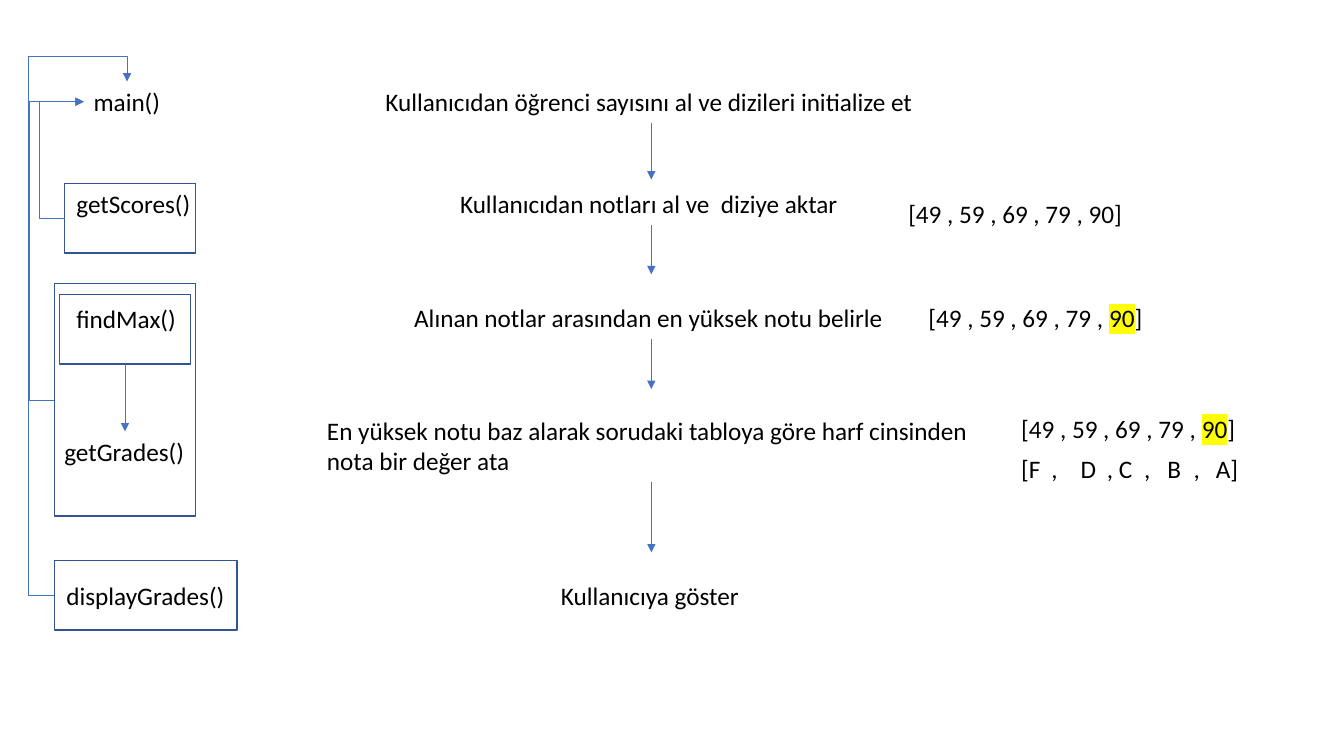
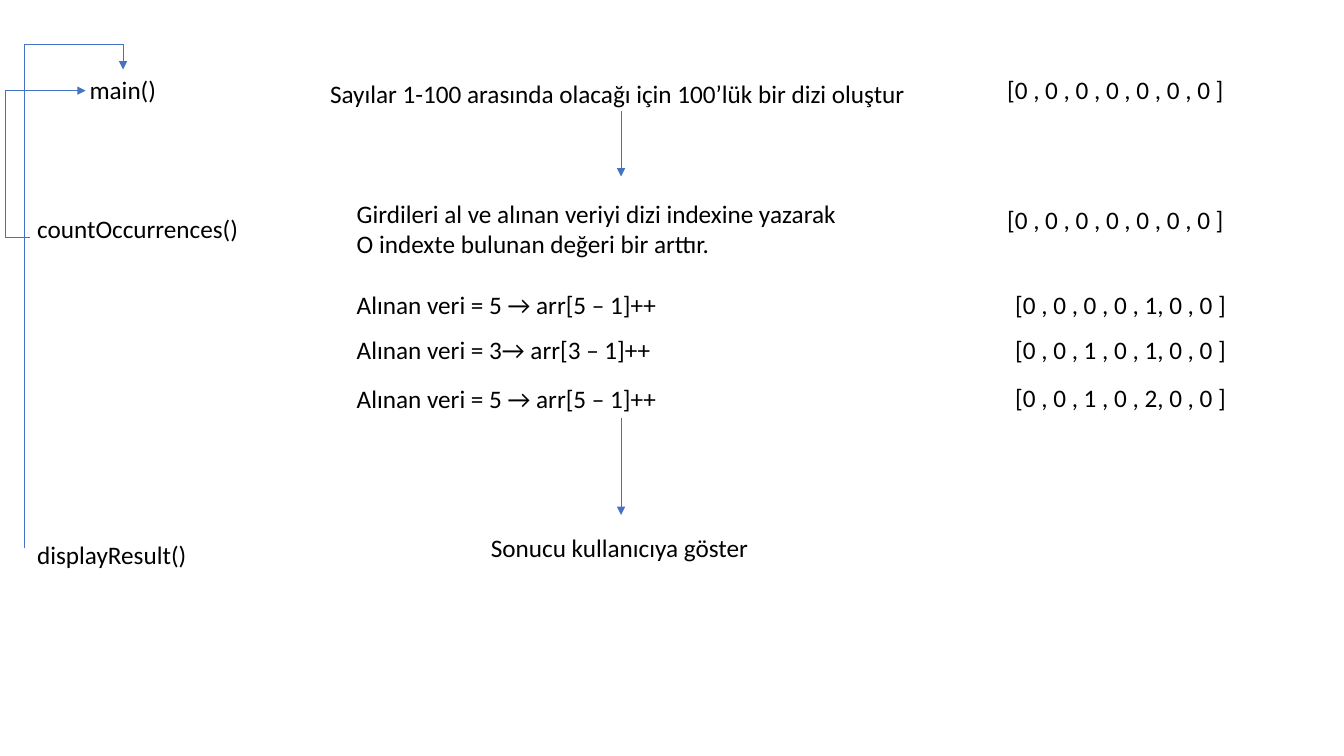
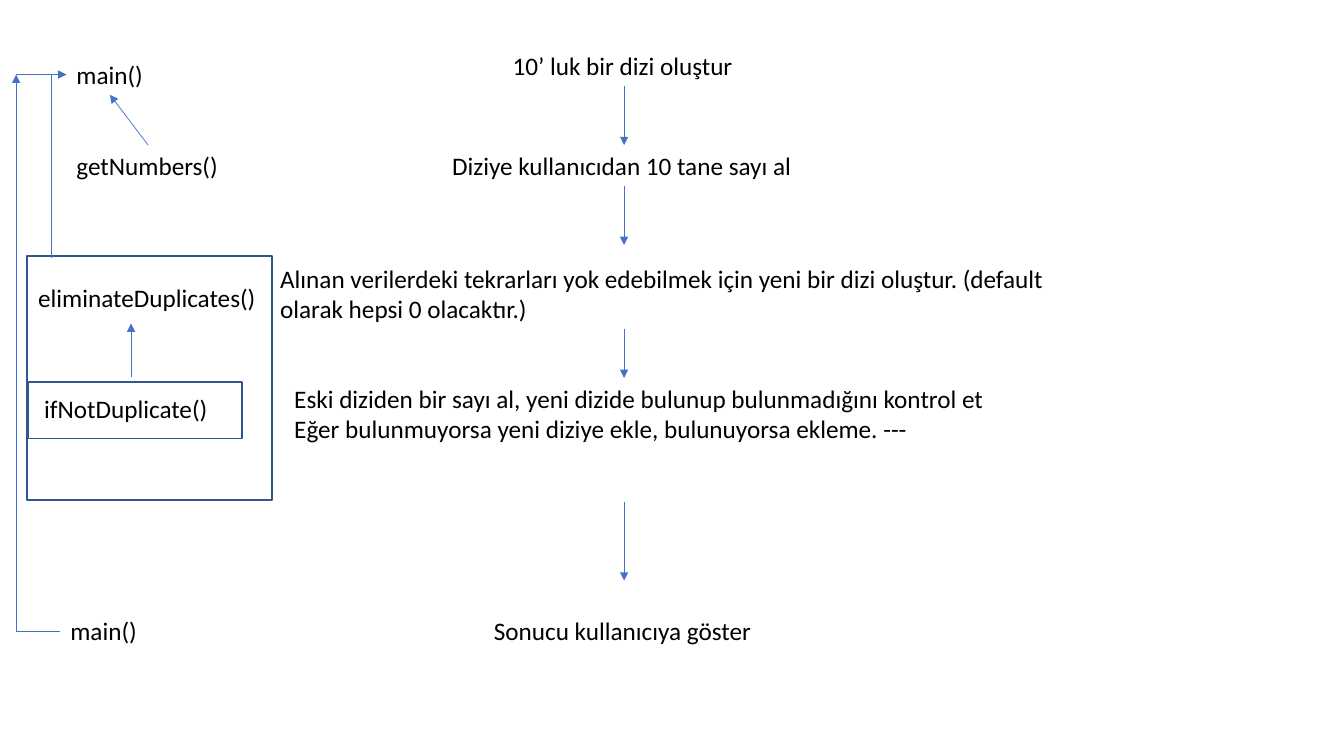
"""Build three flow diagrams that explain array exercises method by method."""
from lxml import etree
from pptx import Presentation
from pptx.dml.color import RGBColor
from pptx.enum.shapes import MSO_CONNECTOR, MSO_SHAPE
from pptx.enum.text import MSO_AUTO_SIZE
from pptx.oxml.ns import qn
from pptx.util import Inches, Pt

STRAIGHT, ELBOW = MSO_CONNECTOR.STRAIGHT, MSO_CONNECTOR.ELBOW
RECTANGLE = MSO_SHAPE.RECTANGLE
GROW = MSO_AUTO_SIZE.SHAPE_TO_FIT_TEXT

ARROW_BLUE, FRAME_BLUE, BLACK, YELLOW = "4472C4", "325491", "000000", "FFFF00"
TEXT_FORMAT = {"name": "Calibri", "size": Pt(18)}
ARROW_WIDTH, FRAME_WIDTH = 0.5, 1
INSET, LINE_HEIGHT = 0.05, 0.3

SCORES = "[49 , 59 , 69 , 79 , "
ZEROS = "[0 , 0 , 0 , 0 , 0 , 0 , 0 ]"
SHOW_RESULT = "Sonucu kullanıcıya göster"
GRADE_TABS = (0.3, 0.59, 0.85, 1.22, 1.45, 1.71, 1.93)

# steps: top, width, text; labels and notes: left, top, width, text
SLIDES = [
    {
        "axis": 6.46,
        "steps": [
            (0.81, 5.47, "Kullanıcıdan öğrenci sayısını al ve dizileri initialize et"),
            (1.82, 3.99, "Kullanıcıdan notları al ve  diziye aktar"),
            (2.95, 4.9, "Alınan notlar arasından en yüksek notu belirle"),
            (4.07, 6.63, "En yüksek notu baz alarak sorudaki tabloya göre harf cinsinden\n"
                         "nota bir değer ata"),
            (5.71, 1.99, "Kullanıcıya göster"),
        ],
        "down_arrows": [(1.22, 1.78), (2.23, 2.72), (3.36, 3.86), (4.78, 5.48)],
        "labels": [
            (0.83, 0.81, 0.87, "main()"),
            (0.66, 1.82, 1.34, "getScores()"),
            (0.66, 2.96, 1.2, "findMax()"),
            (0.54, 4.28, 1.4, "getGrades()"),
            (0.56, 5.71, 1.79, "displayGrades()"),
        ],
        "notes": [
            (8.91, 1.92, 3.49, SCORES + "90]"),
            (9.11, 2.95, 3.49, (SCORES, "90", "]")),
            (10.03, 4.05, 3.49, (SCORES, "90", "]")),
            (10.03, 4.45, 3.49, "[F\t,\tD\t, C\t,\tB\t,\tA]"),
        ],
        "frames": [(0.54, 2.81, 1.4, 2.31), (0.59, 2.92, 1.3, 0.69),
                   (0.64, 1.82, 1.3, 0.69), (0.54, 5.56, 1.81, 0.69)],
        "arrows": [((1.24, 3.61), (1.24, 4.28))],
        "elbows": [
            ((0.54, 3.97), (0.83, 1.01), 0.29, None),
            ((0.64, 2.17), (0.83, 1.01), 0.39, None),
            ((0.54, 5.91), (1.26, 0.81), 0.28, 0.56),
        ],
    },
    {
        "axis": 6.16,
        "steps": [
            (0.73, 5.97, "Sayılar 1-100 arasında olacağı için 100’lük bir dizi oluştur"),
            (5.23, 2.78, SHOW_RESULT),
        ],
        "down_arrows": [(1.1, 1.75), (4.15, 5.11)],
        "labels": [
            (3.44, 1.92, 5.07, "Girdileri al ve alınan veriyi dizi indexine yazarak\n"
                               "O indexte bulunan değeri bir arttır."),
            (9.89, 0.69, 2.38, ZEROS),
            (9.89, 1.98, 2.38, ZEROS),
            (9.97, 2.82, 2.38, "[0 , 0 , 0 , 0 , 1, 0 , 0 ]"),
            (9.97, 3.27, 2.38, "[0 , 0 , 1 , 0 , 1, 0 , 0 ]"),
            (9.97, 3.74, 2.38, "[0 , 0 , 1 , 0 , 2, 0 , 0 ]"),
            (0.79, 0.69, 0.87, "main()"),
            (0.27, 2.07, 2.22, "countOccurrences()"),
            (0.27, 5.3, 1.7, "displayResult()"),
        ],
        "notes": [
            (3.44, 2.82, 5.44, "Alınan veri = 5 → arr[5 – 1]++"),
            (3.44, 3.27, 5.44, "Alınan veri = 3→ arr[3 – 1]++"),
            (3.44, 3.75, 5.44, "Alınan veri = 5 → arr[5 – 1]++"),
        ],
        "elbows": [
            ((0.3, 2.36), (0.85, 0.9), 0.05, None),
            ((0.24, 5.44), (1.22, 0.69), 0.24, 0.44),
        ],
    },
    {
        "axis": 6.19,
        "steps": [
            (0.45, 2.41, "10’ luk bir dizi oluştur"),
            (1.44, 3.61, "Diziye kullanıcıdan 10 tane sayı al"),
            (6.06, 2.78, SHOW_RESULT),
        ],
        "down_arrows": [(0.85, 1.44), (1.85, 2.43), (3.26, 3.75), (4.98, 5.76)],
        "labels": [
            (2.68, 2.56, 7.88, "Alınan verilerdeki tekrarları yok edebilmek için yeni bir dizi "
                               "oluştur. (default\nolarak hepsi 0 olacaktır.)"),
            (2.82, 3.75, 7.13, "Eski diziden bir sayı al, yeni dizide bulunup bulunmadığını "
                               "kontrol et\nEğer bulunmuyorsa yeni diziye ekle, "
                               "bulunuyorsa ekleme. ---"),
            (0.66, 0.54, 0.87, "main()"),
            (0.66, 1.44, 1.62, "getNumbers()"),
            (0.28, 2.75, 2.38, "eliminateDuplicates()"),
            (0.34, 3.85, 1.84, "ifNotDuplicate()"),
            (0.6, 6.06, 0.87, "main()"),
        ],
        "frames": [(0.27, 2.54, 2.43, 2.42), (0.28, 3.79, 2.12, 0.56)],
        "arrows": [((1.3, 3.74), (1.3, 3.21)), ((1.47, 1.44), (1.09, 0.94)),
                   ((0.16, 6.26), (0.16, 0.74)), ((0.16, 0.74), (0.66, 0.74))],
        "lines": [((0.6, 6.26), (0.16, 6.26)), ((0.51, 2.56), (0.51, 0.74))],
    },
]


def color(value):
    return RGBColor.from_string(value)


def add_run(paragraph, text, highlighted=False):
    run = paragraph.add_run()
    run.text = text
    for name, value in TEXT_FORMAT.items():
        setattr(run.font, name, value)
    run.font.color.rgb = color(BLACK)
    if highlighted:
        highlight = etree.Element(qn("a:highlight"))
        etree.SubElement(highlight, qn("a:srgbClr"), val=YELLOW)
        run.font._element.find(qn("a:solidFill")).addnext(highlight)


def add_tab_stops(paragraph, positions):
    tab_list = etree.SubElement(paragraph._p.get_or_add_pPr(), qn("a:tabLst"))
    for position in positions:
        etree.SubElement(tab_list, qn("a:tab"), pos=str(Inches(position)), algn="l")


def add_text(slide, left, top, width, content, wrap=False):
    lines = [content] if isinstance(content, tuple) else [(line,) for line in content.split("\n")]
    height = 2 * INSET + LINE_HEIGHT * len(lines)
    box = slide.shapes.add_textbox(*map(Inches, (left, top, width, height)))
    frame = box.text_frame
    frame.word_wrap = wrap
    frame.auto_size = GROW
    for index, parts in enumerate(lines):
        paragraph = frame.add_paragraph() if index else frame.paragraphs[0]
        for position, text in enumerate(parts):
            add_run(paragraph, text, highlighted=position == 1)
        if "\t" in parts[0]:
            add_tab_stops(paragraph, GRADE_TABS)


def add_frame(slide, *place):
    shape = slide.shapes.add_shape(RECTANGLE, *map(Inches, place))
    shape.shadow.inherit = False
    shape.fill.background()
    shape.line.color.rgb = color(FRAME_BLUE)
    shape.line.width = Pt(FRAME_WIDTH)


def add_line(slide, start, end, arrow=True, kind=STRAIGHT):
    connector = slide.shapes.add_connector(kind, *map(Inches, (*start, *end)))
    connector.line.color.rgb = color(ARROW_BLUE)
    connector.line.width = Pt(ARROW_WIDTH)
    if arrow:
        etree.SubElement(connector.line._get_or_add_ln(), qn("a:tailEnd"), type="triangle")
    etree.SubElement(connector._element.spPr, qn("a:effectLst"))
    return connector


def add_elbow(slide, start, end, turn_x, turn_y):
    connector = add_line(slide, start, end, kind=ELBOW)
    ratios = [(turn_x - start[0]) / (end[0] - start[0])]
    if turn_y is not None:
        ratios.append((turn_y - start[1]) / (end[1] - start[1]))
    geometry = connector._element.spPr.find(qn("a:prstGeom"))
    geometry.set("prst", f"bentConnector{len(ratios) + 2}")
    guides = geometry.find(qn("a:avLst"))
    for number, ratio in enumerate(ratios, 1):
        etree.SubElement(guides, qn("a:gd"), name=f"adj{number}",
                         fmla=f"val {round(ratio * 100000)}")


def build_slide(presentation, content):
    slide = presentation.slides.add_slide(presentation.slide_layouts[6])
    axis = content["axis"]
    for top, width, text in content["steps"]:
        add_text(slide, axis - width / 2, top, width, text)
    for top, bottom in content["down_arrows"]:
        add_line(slide, (axis, top), (axis, bottom))
    for label in content["labels"]:
        add_text(slide, *label)
    for note in content.get("notes", []):
        add_text(slide, *note, wrap=True)
    for place in content.get("frames", []):
        add_frame(slide, *place)
    for start, end in content.get("arrows", []):
        add_line(slide, start, end)
    for start, end in content.get("lines", []):
        add_line(slide, start, end, arrow=False)
    for elbow in content.get("elbows", []):
        add_elbow(slide, *elbow)


def main():
    presentation = Presentation()
    presentation.slide_width = Inches(13.33)
    presentation.slide_height = Inches(7.5)
    for content in SLIDES:
        build_slide(presentation, content)
    presentation.save("out.pptx")


if __name__ == "__main__":
    main()
